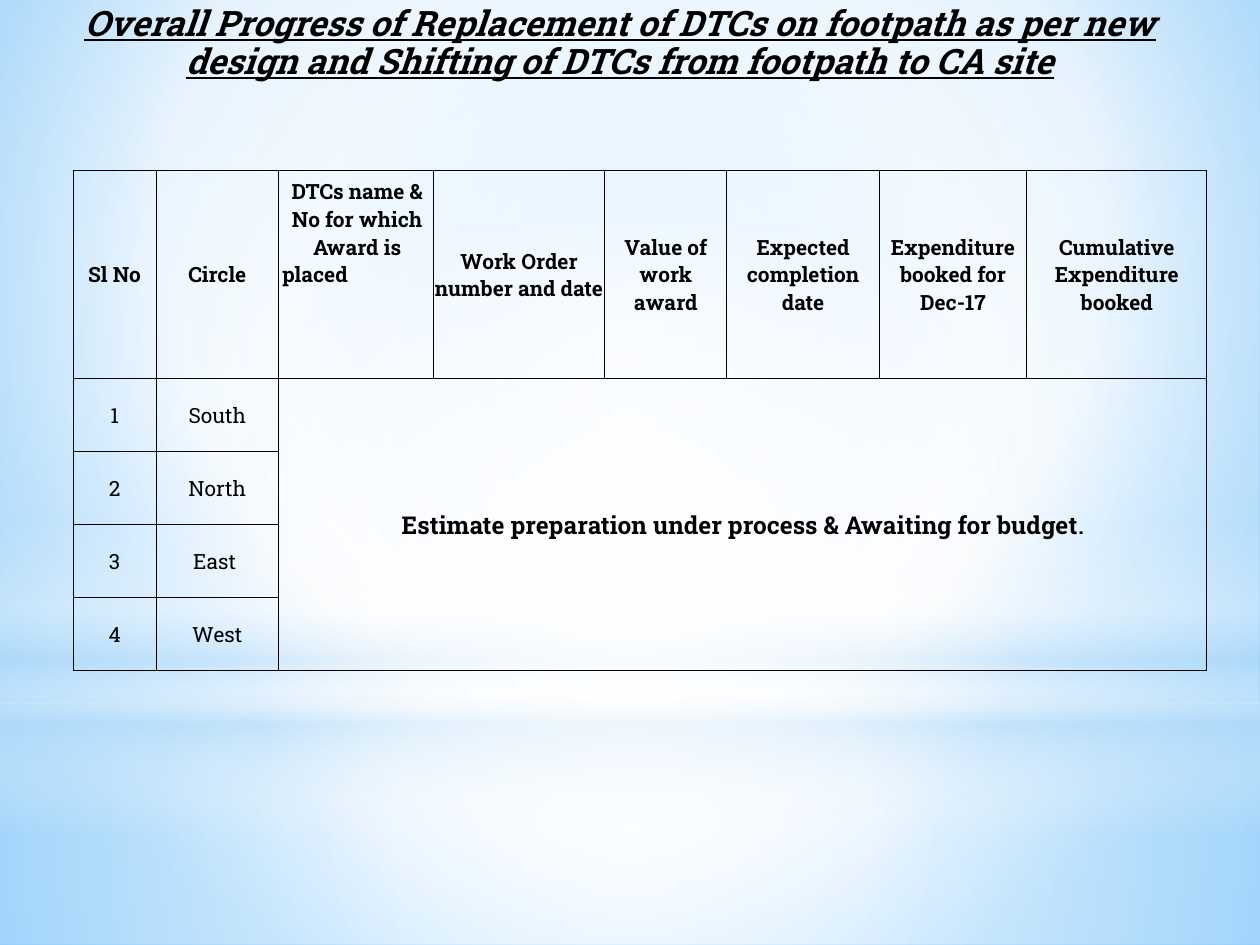
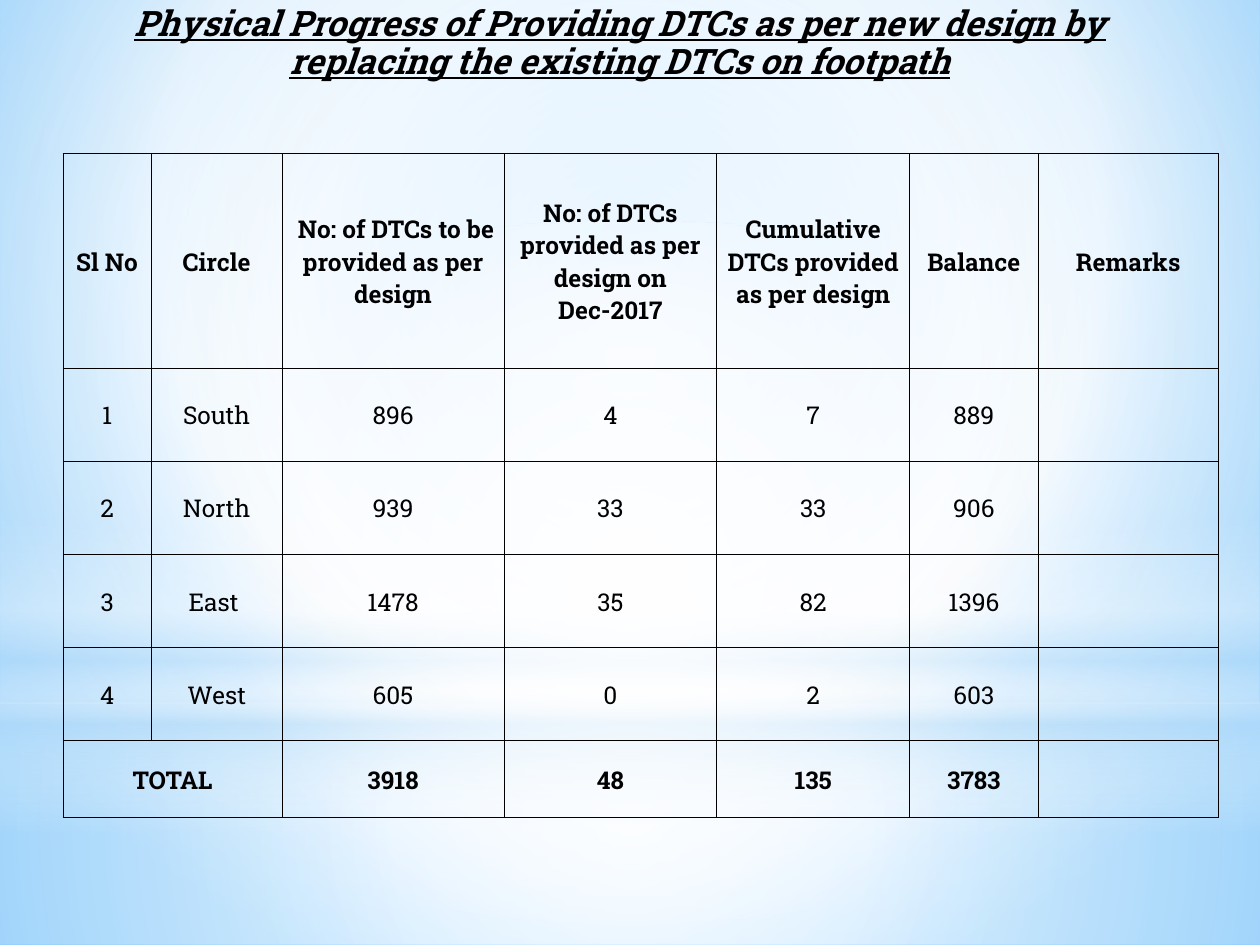
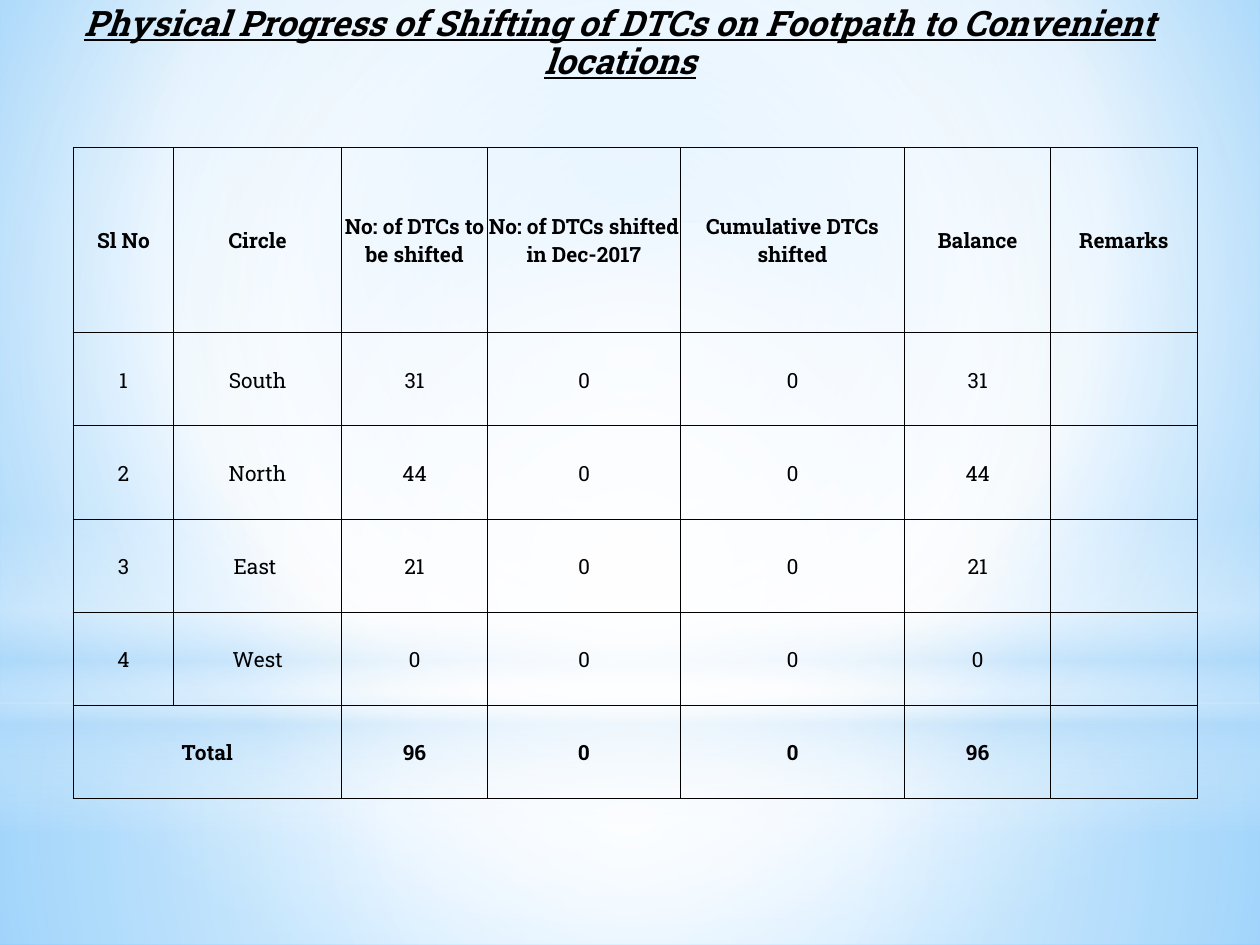
from lxml.etree import SubElement
from pptx import Presentation
from pptx.dml.color import RGBColor
from pptx.enum.shapes import MSO_SHAPE
from pptx.enum.text import MSO_ANCHOR, MSO_AUTO_SIZE, PP_ALIGN
from pptx.oxml.ns import qn
from pptx.util import Inches, Pt

FONT = "Roboto Slab"
BLACK = "000000"
WHITE = "FFFFFF"
PALE_BLUE = "B4DCFA"
SKY = "9ED5FF"
DEEP_SKY = "5BB9FF"
CENTRE = (50, 50, 50, 50)
CIRCLES = ("South", "North", "East ", "West")


def colour(value):
    return RGBColor.from_string(value)


def write(paragraph, text, size=12, bold=False, italic=False, underline=False,
          align=PP_ALIGN.CENTER):
    paragraph.alignment = align
    run = paragraph.add_run()
    run.text = text
    font = run.font
    font.name, font.size = FONT, Pt(size)
    font.bold, font.italic, font.underline = bold, italic, underline
    font.color.rgb = colour(BLACK)


def paint_gradient(fill, owner, stops, focus=None):
    fill.gradient()
    gradient = owner.find(".//" + qn("a:gradFill"))
    for child in list(gradient):
        gradient.remove(child)
    stop_list = SubElement(gradient, qn("a:gsLst"))
    for position, value, opacity in stops:
        stop = SubElement(stop_list, qn("a:gs"), pos=str(position * 1000))
        tint = SubElement(stop, qn("a:srgbClr"), val=value)
        if opacity < 100:
            SubElement(tint, qn("a:alpha"), val=str(opacity * 1000))
    if focus:
        shade = SubElement(gradient, qn("a:path"), path="circle")
        sides = {side: str(share * 1000) for side, share in zip("ltrb", focus)}
        SubElement(shade, qn("a:fillToRect"), **sides)
    else:
        SubElement(gradient, qn("a:lin"), ang="5400000", scaled="0")


class Deck:
    def __init__(self):
        self.presentation = Presentation()
        self.presentation.slide_width = Inches(10)
        self.presentation.slide_height = Inches(7.5)
        self.layout = self.presentation.slide_layouts[5]
        self.slide = None

    def add_slide(self, title):
        self.slide = self.presentation.slides.add_slide(self.layout)
        shape = self.slide.shapes.title
        shape.left, shape.top = Inches(0.42), Inches(0)
        shape.width, shape.height = Inches(9), Inches(5.7)
        frame = shape.text_frame
        frame.word_wrap = True
        frame.auto_size = MSO_AUTO_SIZE.NONE
        frame.vertical_anchor = MSO_ANCHOR.TOP
        paragraph = frame.paragraphs[0]
        paragraph.line_spacing = 0.9
        paragraph.space_before, paragraph.space_after = Pt(0), Pt(3)
        write(paragraph, title, size=20, bold=True, italic=True, underline=True)

    def add_band(self, kind, top, height, stops, focus=None):
        shape = self.slide.shapes.add_shape(
            kind, Inches(0), Inches(top), Inches(10), Inches(height))
        shape.shadow.inherit = False
        shape.line.fill.background()
        paint_gradient(shape.fill, shape.element, stops, focus)
        tree = self.layout.shapes.element
        shape.element.nvSpPr.cNvPr.id = 100 + len(tree)
        tree.append(shape.element)

    def add_backdrop(self):
        paint_gradient(self.layout.background.fill, self.layout.element,
                       [(0, SKY, 100), (60, WHITE, 100), (100, DEEP_SKY, 100)],
                       (20, 10, 20, 60))
        self.add_band(MSO_SHAPE.RECTANGLE, 5.58, 1.92,
                      [(0, WHITE, 91), (37, WHITE, 76), (100, PALE_BLUE, 79)], CENTRE)
        self.add_band(MSO_SHAPE.RECTANGLE, 0, 5.58,
                      [(0, WHITE, 89), (48, WHITE, 62), (100, PALE_BLUE, 79)], CENTRE)
        self.add_band(MSO_SHAPE.RECTANGLE, 4.12, 2.5,
                      [(0, WHITE, 0), (29, WHITE, 30), (45, PALE_BLUE, 40),
                       (55, WHITE, 26), (65, PALE_BLUE, 60), (100, WHITE, 0)])
        self.add_band(MSO_SHAPE.OVAL, 1.75, 5.58,
                      [(0, WHITE, 100), (56, WHITE, 0)], CENTRE)

    def format_cell(self, cell):
        cell.vertical_anchor = MSO_ANCHOR.MIDDLE
        cell.margin_left = cell.margin_right = cell.margin_top = Inches(0.01)
        cell.margin_bottom = Inches(0)
        properties = cell._tc.get_or_add_tcPr()
        for side in "LRTB":
            line = SubElement(properties, qn("a:ln" + side), w=str(Pt(0.5)))
            fill = SubElement(line, qn("a:solidFill"))
            SubElement(fill, qn("a:srgbClr"), val=BLACK)
        cell.fill.background()

    def add_table(self, left, top, widths, heights, rows, size=12):
        table = self.slide.shapes.add_table(
            len(heights), len(widths), Inches(left), Inches(top),
            Inches(sum(widths)), Inches(sum(heights))).table
        table.first_row = table.horz_banding = False
        for column, width in zip(table.columns, widths):
            column.width = Inches(width)
        for row, height in zip(table.rows, heights):
            row.height = Inches(height)
        for cell in table.iter_cells():
            self.format_cell(cell)
        for row_index, texts in enumerate(rows):
            bold = row_index == 0 or row_index > len(CIRCLES)
            for column_index, text in enumerate(texts):
                if text:
                    frame = table.cell(row_index, column_index).text_frame
                    write(frame.paragraphs[0], text, size=size, bold=bold)
        return table

    def add_progress_table(self, left, top, widths, heights, headings, figures,
                           total_label, size):
        rows = [("Sl No", "Circle", *headings, "Balance", "Remarks")]
        for number, (circle, values) in enumerate(zip(CIRCLES, figures), 1):
            rows.append((str(number), circle, *map(str, values)))
        rows.append((total_label, "", *map(str, figures[-1])))
        table = self.add_table(left, top, widths, heights, rows, size)
        table.cell(5, 0).merge(table.cell(5, 1))


def add_overall_progress(deck):
    deck.add_slide("Overall Progress of Replacement of DTCs on footpath as per new "
                   "design and Shifting of DTCs from footpath to CA site")
    headings = ("Sl No", "Circle", "DTCs name & No for which Award is",
                "Work Order number and date", "Value of work award",
                "Expected completion date", "Expenditure booked for Dec-17",
                "Cumulative Expenditure booked")
    circle_rows = [(str(number), circle) for number, circle in enumerate(CIRCLES, 1)]
    table = deck.add_table(0.58, 1.35, [0.66, 0.97, 1.23, 1.36, 0.97, 1.21, 1.17, 1.43],
                           [1.65] + [0.58] * 4, [headings] + circle_rows)

    award = table.cell(0, 2)
    award.vertical_anchor = MSO_ANCHOR.TOP
    award.margin_top = Inches(0.06)
    award.margin_left = Inches(0.03)
    write(award.text_frame.add_paragraph(), "placed", bold=True, align=PP_ALIGN.LEFT)

    status = table.cell(1, 2)
    status.merge(table.cell(4, 7))
    paragraph = status.text_frame.paragraphs[0]
    write(paragraph, "Estimate preparation under process & Awaiting for budget",
          size=14, bold=True)
    write(paragraph, ".", bold=True)


def add_replacement_progress(deck):
    deck.add_slide("Physical Progress of Providing DTCs as per new design by "
                   "replacing the existing DTCs on footpath")
    deck.add_progress_table(
        0.5, 1.22, [0.7, 1.04, 1.76, 1.69, 1.53, 1.02, 1.43],
        [1.7] + [0.74] * 4 + [0.61],
        (" No: of DTCs to be provided as per design",
         "No: of DTCs provided as per design on Dec-2017",
         "Cumulative DTCs provided as per design"),
        [(896, 4, 7, 889), (939, 33, 33, 906), (1478, 35, 82, 1396),
         (605, 0, 2, 603), (3918, 48, 135, 3783)],
        "TOTAL", 14)


def add_shifting_progress(deck):
    deck.add_slide("Physical Progress of Shifting of DTCs on Footpath to Convenient "
                   "locations")
    deck.add_progress_table(
        0.58, 1.17, [0.8, 1.33, 1.16, 1.53, 1.78, 1.16, 1.16],
        [1.47] + [0.74] * 5,
        ("No: of DTCs to be shifted", "No: of DTCs shifted in Dec-2017",
         "Cumulative DTCs shifted"),
        [(31, 0, 0, 31), (44, 0, 0, 44), (21, 0, 0, 21), (0, 0, 0, 0), (96, 0, 0, 96)],
        "Total", 12)


def main():
    deck = Deck()
    add_overall_progress(deck)
    add_replacement_progress(deck)
    add_shifting_progress(deck)
    deck.add_backdrop()
    deck.presentation.save("out.pptx")


if __name__ == "__main__":
    main()
